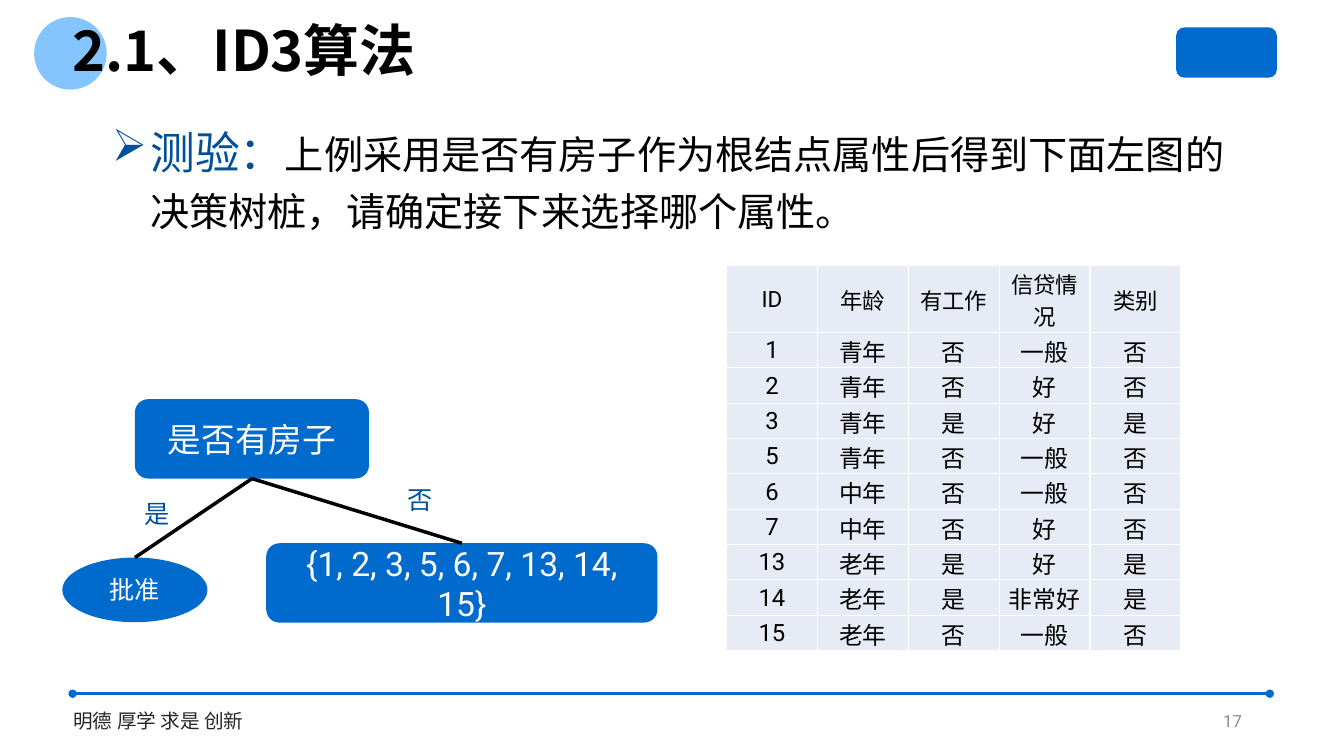
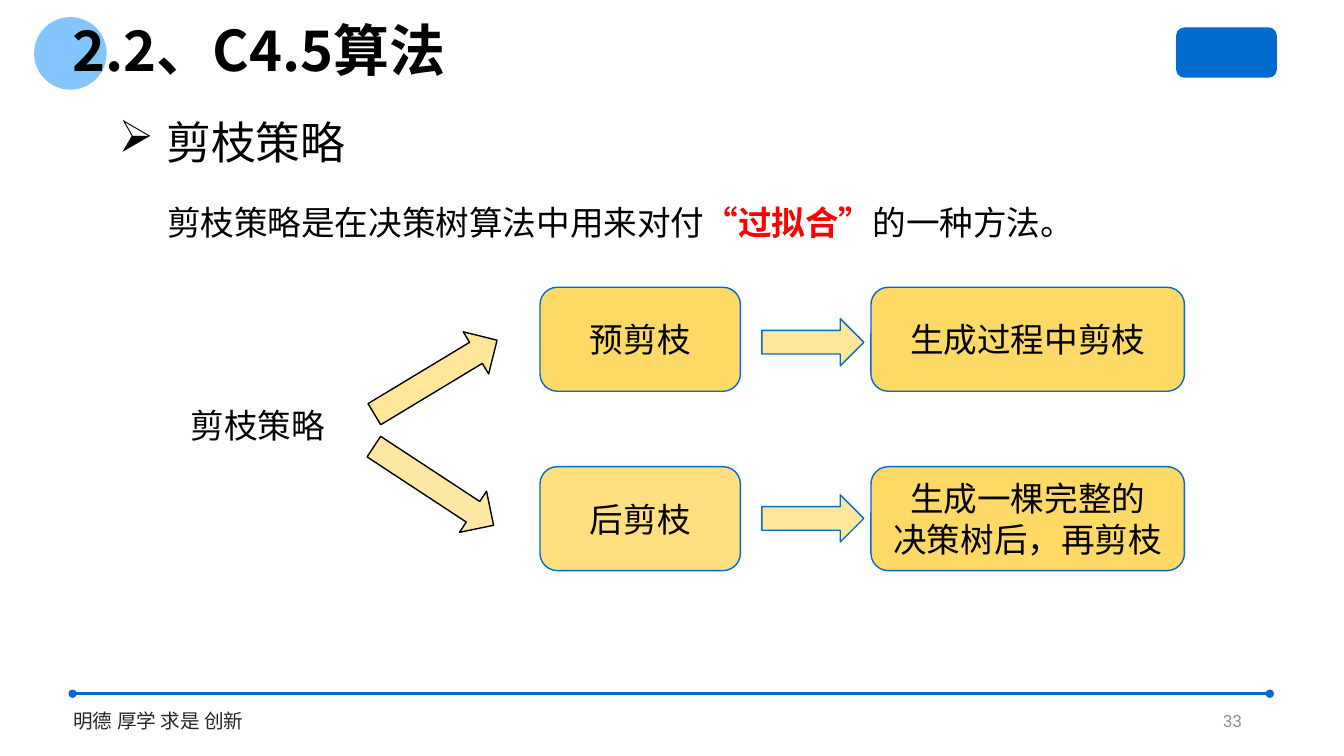
from dataclasses import dataclass
from typing import Any

from lxml import etree
from pptx import Presentation
from pptx import util as u
from pptx.dml import color
from pptx.enum import shapes, text
from pptx.oxml import ns

HUES = {
    "blue": "006BCC",
    "navy": "005099",
    "sky": "85C5FF",
    "pale": "E7EBF6",
    "cream": "FFE699",
    "sand": "FFD966",
    "amber": "FFC000",
    "red": "FF0000",
    "black": "000000",
    "white": "FFFFFF",
    "coal": "262626",
    "gray": "8C8C8C",
}
NOTO, ROBOTO = "Noto Sans CJK SC", "Roboto"
KIND, ALIGN, MID = shapes.MSO_SHAPE, text.PP_ALIGN, text.MSO_ANCHOR.MIDDLE


@dataclass(frozen=True)
class Box:
    x: float
    y: float
    w: float
    h: float

    def place(self) -> tuple[u.Length, ...]:
        return u.Cm(self.x), u.Cm(self.y), u.Cm(self.w), u.Cm(self.h)


@dataclass(frozen=True)
class Ink:
    size: float
    hue: str = "black"
    font: str = ROBOTO
    bold: bool = False


@dataclass(frozen=True)
class Look:
    fill: str
    edge: str = ""
    alpha: int = 100
    turn: float = 0


@dataclass(frozen=True)
class Node:
    kind: Any
    box: Box
    look: Look
    words: str = ""
    ink: Ink = Ink(24)


def rgb(hue: str) -> color.RGBColor:
    return color.RGBColor.from_string(HUES[hue])


def sub(host: Any, tag: str, **attrs: str) -> Any:
    return etree.SubElement(host, ns.qn(tag), **attrs)


def dye(run: Any, ink: Ink) -> None:
    font = run.font
    font.size, font.bold, font.name = u.Pt(ink.size), ink.bold, ink.font
    font.color.rgb = rgb(ink.hue)
    latin = run.font._element.find(ns.qn("a:latin"))
    latin.addnext(latin.makeelement(ns.qn("a:ea"), {"typeface": NOTO}))


def write(frame: Any, words: str, ink: Ink, align: Any = ALIGN.LEFT) -> None:
    frame.text = words
    for par in frame.paragraphs:
        par.alignment = align
        for run in par.runs:
            dye(run, ink)


def label(slide: Any, box: Box, words: str, ink: Ink, align: Any = ALIGN.LEFT) -> Any:
    frame = slide.shapes.add_textbox(*box.place()).text_frame
    frame.word_wrap = True
    write(frame, words, ink, align)
    return frame


def mix(slide: Any, box: Box, parts: list[tuple[str, Ink]], lead: float, hang: float = 0) -> None:
    frame = slide.shapes.add_textbox(*box.place()).text_frame
    frame.word_wrap = True
    par = frame.paragraphs[0]
    par.line_spacing = lead
    if hang:
        props = par._p.get_or_add_pPr()
        props.set("marL", str(u.Cm(hang)))
        props.set("indent", str(-u.Cm(hang)))
        sub(props, "a:buChar", char="➢")
    for words, ink in parts:
        run = par.add_run()
        run.text = words
        dye(run, ink)


def draw(slide: Any, node: Node) -> Any:
    shape = slide.shapes.add_shape(node.kind, *node.box.place())
    look = node.look
    shape.shadow.inherit = False
    shape.rotation = look.turn
    shape.fill.solid()
    shape.fill.fore_color.rgb = rgb(look.fill)
    if look.alpha < 100:
        tint = shape.element.spPr.find(ns.qn("a:solidFill"))[0]
        sub(tint, "a:alpha", val=str(look.alpha * 1000))
    if look.edge:
        shape.line.color.rgb = rgb(look.edge)
        shape.line.width = u.Pt(1)
    else:
        shape.line.fill.background()
    if node.words:
        shape.text_frame.vertical_anchor = MID
        write(shape.text_frame, node.words, node.ink, ALIGN.CENTER)
    return shape


def link(slide: Any, x: float, y: float, end: float, hue: str, width: float) -> Any:
    line = slide.shapes.add_connector(
        shapes.MSO_CONNECTOR.STRAIGHT, u.Cm(x), u.Cm(y), u.Cm(end), u.Cm(y))
    line.line.color.rgb = rgb(hue)
    line.line.width = u.Pt(width)
    sub(line.element.spPr, "a:effectLst")
    return line


def start(deck: Any, words: str, page: str) -> Any:
    slide = deck.slides.add_slide(deck.slide_layouts[5])
    draw(slide, Node(KIND.OVAL, Box(0.86, 0.43, 1.83, 1.83), Look("sky")))
    draw(slide, Node(KIND.ROUNDED_RECTANGLE, Box(29.64, 0.69, 2.54, 1.27), Look("blue")))
    rule = link(slide, 1.83, 17.48, 32, "blue", 1.75)
    edge = rule.element.spPr.find(ns.qn("a:ln"))
    for tag in ("a:headEnd", "a:tailEnd"):
        sub(edge, tag, type="oval")
    label(slide, Box(1.6, 17.73, 6.5, 0.86), "明德 厚学 求是 创新", Ink(14, "coal"))
    foot = label(slide, Box(23.93, 17.65, 7.62, 1.02), page, Ink(12, "gray"), ALIGN.RIGHT)
    foot.vertical_anchor = MID
    title = slide.shapes.title
    title.left, title.top, title.width, title.height = Box(1.57, 0.74, 20.68, 1.19).place()
    frame = title.text_frame
    frame.auto_size = text.MSO_AUTO_SIZE.NONE
    frame.vertical_anchor = MID
    write(frame, words, Ink(40, font=NOTO, bold=True))
    frame.paragraphs[0].line_spacing = 0.9
    slide.shapes.element.append(title.element)
    return slide


def border(cell: Any) -> None:
    props = cell._tc.get_or_add_tcPr()
    for spot, tag in enumerate(("a:lnL", "a:lnR", "a:lnT", "a:lnB")):
        line = props.makeelement(ns.qn(tag), {"w": str(u.Pt(1))})
        sub(sub(line, "a:solidFill"), "a:srgbClr", val=HUES["white"])
        props.insert(spot, line)


def grid(slide: Any, rows: list[list[str]]) -> None:
    wide, head, tall = 2.29, 1.7, 0.89
    cols = len(rows[0])
    box = Box(18.31, 6.68, wide * cols, head + tall * (len(rows) - 1))
    table = slide.shapes.add_table(len(rows), cols, *box.place()).table
    table.first_row = table.horz_banding = False
    for col in table.columns:
        col.width = u.Cm(wide)
    for r, row in enumerate(rows):
        table.rows[r].height = u.Cm(tall if r else head)
        for c, words in enumerate(row):
            cell = table.cell(r, c)
            cell.fill.solid()
            cell.fill.fore_color.rgb = rgb("pale")
            cell.margin_left = cell.margin_right = cell.margin_top = u.Cm(0.03)
            cell.margin_bottom = 0
            cell.vertical_anchor = MID
            write(cell.text_frame, words, Ink(17 if r else 16), ALIGN.CENTER)
            border(cell)


def quiz(deck: Any) -> None:
    slide = start(deck, "2.1、ID3算法", "17")
    mix(slide, Box(2.57, 2.74, 29.24, 3.2), [
        ("测验：", Ink(32, "navy", NOTO)),
        ("上例采用是否有房子作为根结点属性后得到下面左图的决策树桩，请确定接下来选择哪个属性。",
         Ink(28, font=NOTO)),
    ], 1.2, 0.97)
    look, big = Look("blue"), Ink(24, "white")
    root, leaf, rest = [draw(slide, node) for node in (
        Node(KIND.ROUNDED_RECTANGLE, Box(3.4, 10.06, 5.9, 2), look, "是否有房子", big),
        Node(KIND.OVAL, Box(1.57, 14.05, 3.66, 1.63), look, "批准", Ink(18, "white")),
        Node(KIND.ROUNDED_RECTANGLE, Box(6.71, 13.69, 9.86, 2), look,
             "{1, 2, 3, 5, 6, 7, 13, 14, 15}", big),
    )]
    for child in (leaf, rest):
        line = link(slide, 3, 12, 6, "black", 2.5)
        line.begin_connect(root, 2)
        line.end_connect(child, 0)
    for words, x, y in (("是", 3.4, 12.42), ("否", 10.03, 12.07)):
        label(slide, Box(x, y, 1.5, 1.02), words, Ink(18, "navy", NOTO))
    grid(slide, [row.split() for row in (
        "ID 年龄 有工作 信贷情况 类别",
        "1 青年 否 一般 否",
        "2 青年 否 好 否",
        "3 青年 是 好 是",
        "5 青年 否 一般 否",
        "6 中年 否 一般 否",
        "7 中年 否 好 否",
        "13 老年 是 好 是",
        "14 老年 是 非常好 是",
        "15 老年 否 一般 否",
    )])


def prune(deck: Any) -> None:
    slide = start(deck, "2.2、C4.5算法", "33")
    mix(slide, Box(2.74, 2.49, 8, 1.75), [("剪枝策略", Ink(32, font=NOTO))], 1.2, 1.2)
    mix(slide, Box(3.96, 4.7, 24.36, 1.42), [
        ("剪枝策略是在决策树算法中用来对付", Ink(24)),
        ("“过拟合”", Ink(24, "red", bold=True)),
        ("的一种方法。", Ink(24)),
    ], 1.25)
    label(slide, Box(4.55, 10.08, 4.2, 1.27), "剪枝策略", Ink(24))
    sand = Look("sand", "blue")
    lanes = (
        (7.24, 8.03, "预剪枝", sand, "生成过程中剪枝",
         Box(10.36, 7.7, 1.24, 3.61), Look("cream", "black", turn=58.9)),
        (11.76, 12.47, "后剪枝", Look("amber", "blue", 50), "生成一棵完整的\n决策树后，再剪枝",
         Box(10.31, 10.44, 1.24, 3.61), Look("cream", "black", 90, 123.3)),
    )
    for top, mid, name, look, note, spot, tilt in lanes:
        for node in (
            Node(KIND.UP_ARROW, spot, tilt),
            Node(KIND.ROUNDED_RECTANGLE, Box(13.61, top, 5.05, 2.62), look, name),
            Node(KIND.ROUNDED_RECTANGLE, Box(21.95, top, 7.9, 2.62), sand, note),
            Node(KIND.RIGHT_ARROW, Box(19.2, mid, 2.57, 1.19), Look("cream", "blue")),
        ):
            draw(slide, node)


def main() -> None:
    deck = Presentation()
    deck.slide_width, deck.slide_height = u.Cm(33.87), u.Cm(19.05)
    quiz(deck)
    prune(deck)
    deck.save("out.pptx")


if __name__ == "__main__":
    main()
